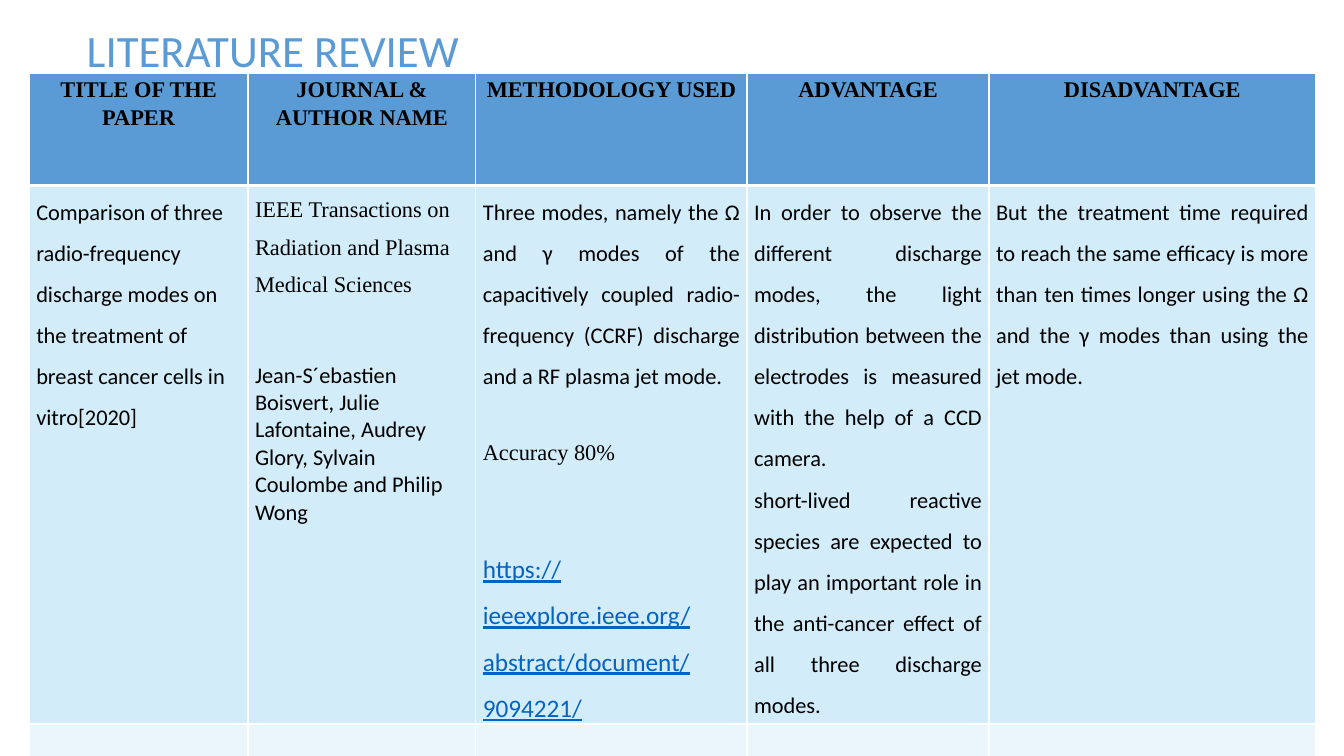
from lxml import etree
from pptx import Presentation
from pptx.dml.color import RGBColor
from pptx.enum.text import MSO_ANCHOR, PP_ALIGN
from pptx.oxml.ns import qn
from pptx.util import Pt

PX = 9144
TITLE_ONLY = 5
TOP = MSO_ANCHOR.TOP
LEFT, CENTER, JUSTIFY = PP_ALIGN.LEFT, PP_ALIGN.CENTER, PP_ALIGN.JUSTIFY
SANS, SERIF = "Calibri", "Times New Roman"
BLUE, PALE, PALER = "5B9BD5", "D2ECF9", "EAF6FC"
BLACK, WHITE, LINK = "000000", "FFFFFF", "0563C1"

COLUMN_WIDTHS = [217, 226, 269, 240, 324]
ROW_HEIGHTS = [111, 492, 34]
ROW_FILLS = [BLUE, PALE, PALER]
EDGE_WIDTHS = [(1, 3), (3, 1), (1, 1)]

HEADINGS = [
    "TITLE OF THE PAPER",
    "JOURNAL & AUTHOR NAME",
    "METHODOLOGY USED",
    "ADVANTAGE",
    "DISADVANTAGE",
]
REVIEW = [
    [("Comparison of three radio-frequency discharge modes on the treatment "
      "of breast cancer cells in vitro[2020]", {"align": LEFT})],
    [("IEEE Transactions on Radiation and Plasma Medical Sciences",
      {"align": LEFT, "font": SERIF}),
     ("Jean-S´ebastien Boisvert, Julie Lafontaine, Audrey Glory, Sylvain "
      "Coulombe and Philip Wong",
      {"align": LEFT, "spacing": 1.0, "before": 46})],
    [("Three modes, namely the Ω and γ modes of the capacitively coupled "
      "radio-frequency (CCRF) discharge and a RF plasma jet mode.", {}),
     ("Accuracy 80%", {"font": SERIF, "before": 26.5}),
     ("https://ieeexplore.ieee.org/abstract/document/9094221/",
      {"size": 18, "color": LINK, "underline": True, "before": 53})],
    [("In order to observe the different discharge modes, the light "
      "distribution between the electrodes is measured with the help of a "
      "CCD camera.", {}),
     ("short-lived reactive species are expected to play an important role "
      "in the anti-cancer effect of all three discharge modes.", {})],
    [("But the treatment time required to reach the same efﬁcacy is more "
      "than ten times longer using the Ω and the γ modes than using the "
      "jet mode.", {})],
]


def px(length):
    return int(length * PX)


def rgb(code):
    return RGBColor.from_string(code)


def write(para, text, font=SANS, size=16, color=BLACK, bold=False,
          underline=False, align=JUSTIFY, spacing=1.5, before=0):
    para.alignment = align
    para.line_spacing = spacing
    para.space_before = Pt(before)
    span = para.add_run()
    span.text = text
    span.font.name = font
    span.font.size = Pt(size)
    span.font.bold = bold
    span.font.underline = underline
    span.font.color.rgb = rgb(color)


def fill_frame(frame, entries):
    for index, (text, style) in enumerate(entries):
        para = frame.add_paragraph() if index else frame.paragraphs[0]
        write(para, text, **style)


def set_borders(cell, top, bottom):
    properties = cell._tc.get_or_add_tcPr()
    edges = [("a:lnL", 1), ("a:lnR", 1), ("a:lnT", top), ("a:lnB", bottom)]
    for index, (tag, width) in enumerate(edges):
        line = etree.Element(qn(tag), w=str(Pt(width)))
        solid = etree.SubElement(line, qn("a:solidFill"))
        etree.SubElement(solid, qn("a:srgbClr"), val=WHITE)
        properties.insert(index, line)


def add_title(page, left, top, width, height):
    title = page.shapes.title
    title.left, title.top = px(left), px(top)
    title.width, title.height = px(width), px(height)
    title.text_frame.vertical_anchor = TOP
    write(title.text_frame.paragraphs[0], "LITERATURE REVIEW", size=32,
          color=BLUE, align=LEFT, spacing=0.9)


def add_review_table(page, left, top):
    table = page.shapes.add_table(
        len(ROW_HEIGHTS), len(COLUMN_WIDTHS), px(left), px(top),
        px(sum(COLUMN_WIDTHS)), px(sum(ROW_HEIGHTS))).table
    table.first_row = table.horz_banding = False
    for column, width in zip(table.columns, COLUMN_WIDTHS):
        column.width = px(width)
    heading = {"font": SERIF, "bold": True, "align": CENTER, "spacing": 1.15}
    contents = [[[(text, heading)] for text in HEADINGS], REVIEW,
                [[] for _ in HEADINGS]]
    for row, height, color, edges, entries in zip(
            table.rows, ROW_HEIGHTS, ROW_FILLS, EDGE_WIDTHS, contents):
        row.height = px(height)
        for cell, paragraphs in zip(row.cells, entries):
            cell.margin_left = cell.margin_right = px(7)
            cell.margin_top = cell.margin_bottom = 0
            cell.vertical_anchor = TOP
            cell.fill.solid()
            cell.fill.fore_color.rgb = rgb(color)
            set_borders(cell, *edges)
            fill_frame(cell.text_frame, paragraphs)


def main():
    deck = Presentation()
    deck.slide_width, deck.slide_height = px(1333), px(750)
    page = deck.slides.add_slide(deck.slide_layouts[TITLE_ONLY])
    page.background.fill.solid()
    page.background.fill.fore_color.rgb = rgb(WHITE)
    add_title(page, 76, 24, 848, 75)
    add_review_table(page, 29, 73)
    deck.save("out.pptx")


if __name__ == "__main__":
    main()
